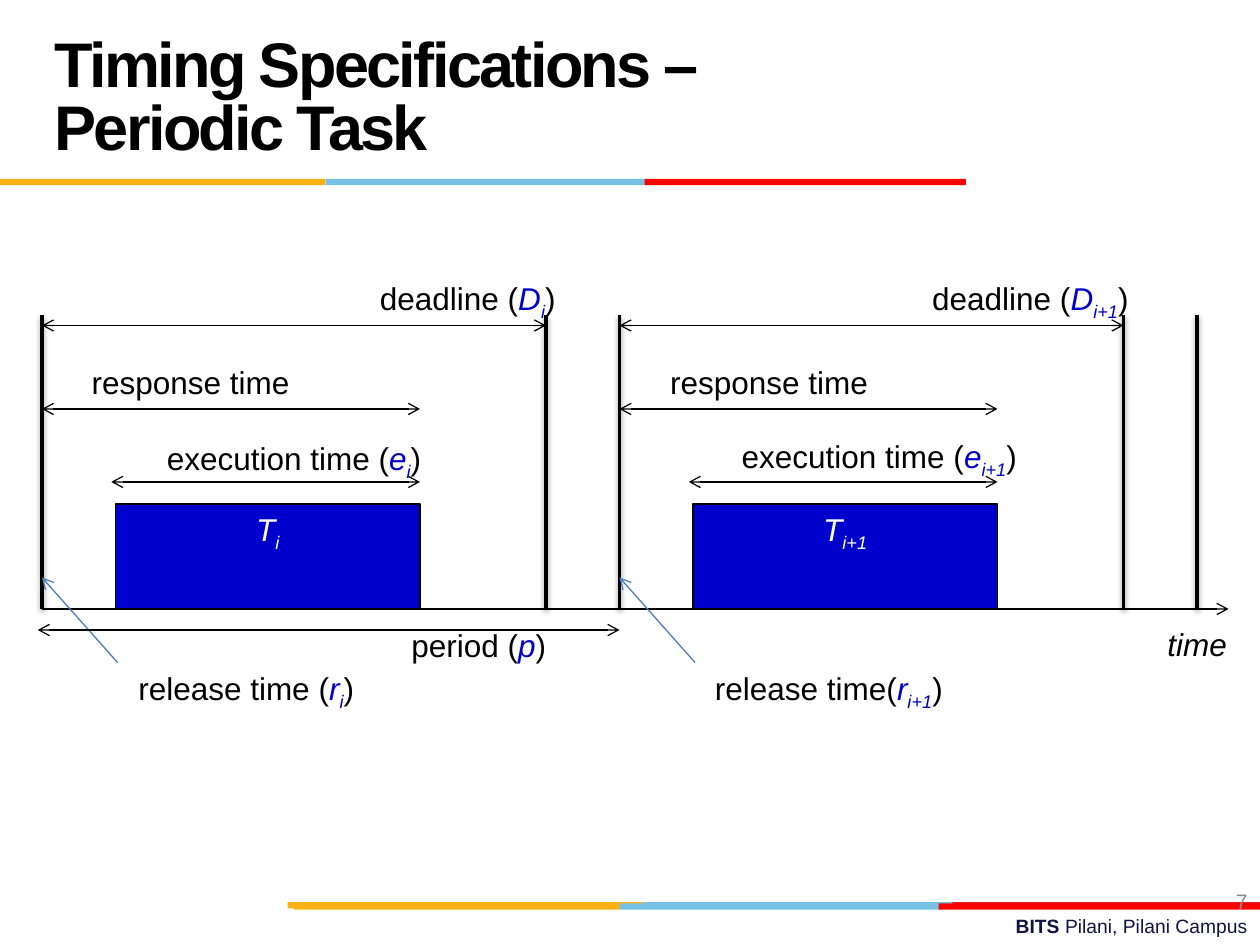
"""Build the slide that shows the timing specifications of a periodic task."""
from dataclasses import dataclass
from typing import NamedTuple

from lxml.etree import SubElement
from pptx import Presentation
from pptx.dml.color import RGBColor
from pptx.enum.shapes import MSO_CONNECTOR, MSO_SHAPE
from pptx.enum.text import MSO_ANCHOR as Anchor, MSO_AUTO_SIZE as AutoSize, PP_ALIGN as Align
from pptx.oxml.ns import qn
from pptx.util import Inches, Pt

BLACK = RGBColor(0x00, 0x00, 0x00)
WHITE = RGBColor(0xFF, 0xFF, 0xFF)
SYMBOL_BLUE = RGBColor(0x00, 0x00, 0xCC)
POINTER_BLUE = RGBColor(0x4B, 0x7E, 0xBC)
NAVY = RGBColor(0x10, 0x14, 0x41)
GREY = RGBColor(0x8C, 0x8C, 0x8C)
ORANGE = RGBColor(0xFC, 0xB0, 0x17)
SKY = RGBColor(0x76, 0xC2, 0xE5)
RED = RGBColor(0xFF, 0x00, 0x00)
DARK_RED = RGBColor(0xE3, 0x1C, 0x24)

COLUMNS, ROWS = 120, 90
CELL = Inches(10) // COLUMNS
LABEL_ROWS = 4.8
TOP_ROW, AXIS_ROW = 30, 58


class Part(NamedTuple):
    """A piece of text with its format."""
    words: str
    color: RGBColor = BLACK
    italic: bool = False
    bold: bool = False
    lowered: bool = False
    size: float = 18


class Area(NamedTuple):
    """A rectangle in grid columns and rows."""
    column: float
    row: float
    columns: float
    rows: float = LABEL_ROWS


class Bar(NamedTuple):
    """A coloured stretch of a rule, in columns."""
    start: float
    length: float
    color: RGBColor


@dataclass
class Cycle:
    """One release of the task, with the places of its labels."""
    origin: float
    index: str
    release_lead: str
    deadline: Area
    response: Area
    execution: Area
    release: Area


RULES = {
    85.92: [Bar(60.7, 30.6, SKY), Bar(90.7, 29.3, DARK_RED), Bar(27.4, 33.8, ORANGE)],
    86.04: [Bar(59, 30.6, SKY), Bar(28, 31, ORANGE), Bar(89.4, 30.6, RED)],
    17.04: [Bar(31, 30.6, SKY), Bar(0, 31, ORANGE), Bar(61.4, 30.6, RED)],
}
CYCLES = [
    Cycle(4, "i", "release time (", Area(35, 26, 19.3), Area(7.4, 34, 21.5),
          Area(14, 41.2, 28), Area(11.8, 63.1, 23.3)),
    Cycle(59, "i+1", "release time(", Area(87.6, 26, 21.6), Area(62.5, 34, 21.5),
          Area(69.1, 41, 29.3), Area(66.6, 63.1, 24.7)),
]


def cells(*counts: float) -> list[int]:
    """Turn counts of grid cells into lengths."""
    return [round(count * CELL) for count in counts]


def apply(target, formats: dict) -> None:
    """Set every attribute in the dict."""
    for name, value in formats.items():
        setattr(target, name, value)


def write(frame, parts: list[Part], align: Align) -> None:
    """Fill the first paragraph with formatted parts."""
    paragraph = frame.paragraphs[0]
    paragraph.alignment = align
    for part in parts:
        run = paragraph.add_run()
        run.text = part.words
        apply(run.font, {"name": "Arial", "size": Pt(part.size),
                         "bold": part.bold, "italic": part.italic})
        run.font.color.rgb = part.color
        if part.lowered:
            run._r.get_or_add_rPr().set("baseline", "-25000")


def add_label(slide, area: Area, parts: list[Part], align: Align = Align.CENTER,
              wrap: bool = False, anchor: Anchor = Anchor.TOP) -> None:
    """Place a text box on the grid."""
    frame = slide.shapes.add_textbox(*cells(*area)).text_frame
    apply(frame, {"word_wrap": wrap, "vertical_anchor": anchor})
    write(frame, parts, align)


def add_block(slide, area: Area, color: RGBColor, outlined: bool = False):
    """Place a filled rectangle on the grid."""
    block = slide.shapes.add_shape(MSO_SHAPE.RECTANGLE, *cells(*area))
    block.shadow.inherit = False
    block.fill.solid()
    block.fill.fore_color.rgb = color
    if outlined:
        block.line.color.rgb = BLACK
        block.line.width = Pt(0.75)
    else:
        block.line.fill.background()
    return block


def add_line(slide, ends: tuple, color: RGBColor = BLACK, width: float = 0.75,
             arrows: tuple = (), shadow: bool = False) -> None:
    """Draw a line between two grid points."""
    line = slide.shapes.add_connector(MSO_CONNECTOR.STRAIGHT, *cells(*ends))
    line.line.color.rgb = color
    line.line.width = Pt(width)
    for end in arrows:
        SubElement(line.line._get_or_add_ln(), qn(f"a:{end}"), type="arrow")
    effects = SubElement(line._element.spPr, qn("a:effectLst"))
    if shadow:
        cast = SubElement(effects, qn("a:outerShdw"), blurRad=str(Pt(3.1)), dist=str(Pt(1.6)),
                          dir="5400000", rotWithShape="0")
        tint = SubElement(cast, qn("a:srgbClr"), val=str(BLACK))
        SubElement(tint, qn("a:alpha"), val="38000")


def add_span(slide, start: float, end: float, row: float) -> None:
    """Draw a level arrow with two heads."""
    add_line(slide, (start, row, end, row), arrows=("headEnd", "tailEnd"))


def add_marker(slide, column: float) -> None:
    """Draw an upright time marker."""
    add_line(slide, (column, TOP_ROW, column, AXIS_ROW), width=2, shadow=True)


def term(lead: str, symbol: str, index: str = "") -> list[Part]:
    """Compose a phrase with a symbol in parentheses."""
    marks = [Part(symbol, SYMBOL_BLUE, italic=True)]
    if index:
        marks.append(Part(index, SYMBOL_BLUE, italic=True, lowered=True))
    return [Part(lead), *marks, Part(")")]


def add_cycle(slide, cycle: Cycle) -> None:
    """Draw one release of the task with its time spans."""
    start, finish, due = cycle.origin, cycle.origin + 36, cycle.origin + 48
    for column in (start, due):
        add_marker(slide, column)
    task = add_block(slide, Area(start + 7, 48, 29, 10), SYMBOL_BLUE, outlined=True)
    task.text_frame.vertical_anchor = Anchor.TOP
    write(task.text_frame, [Part("T", WHITE, italic=True),
                            Part(cycle.index, WHITE, italic=True, lowered=True)], Align.CENTER)
    for span in ((start, due, 31), (start, finish, 38.95), (start + 6.6, finish, 45.9)):
        add_span(slide, *span)
    add_line(slide, (start + 7.2, 63.1, start, 55), POINTER_BLUE, arrows=("tailEnd",))
    add_label(slide, cycle.deadline, term("deadline (", "D", cycle.index), Align.LEFT)
    add_label(slide, cycle.response, [Part("response time")])
    add_label(slide, cycle.execution, term("execution time (", "e", cycle.index))
    add_label(slide, cycle.release, term(cycle.release_lead, "r", cycle.index))


def add_title(slide) -> None:
    """Move and format the title placeholder."""
    title = slide.shapes.title
    apply(title, dict(zip(("left", "top", "width", "height"), cells(4, 2, 83, 15))))
    frame = title.text_frame
    apply(frame, {"word_wrap": True, "auto_size": AutoSize.NONE, "vertical_anchor": Anchor.MIDDLE})
    write(frame, [Part("Timing Specifications – Periodic Task", bold=True, size=36)], Align.LEFT)
    heading = frame.paragraphs[0]
    heading.line_spacing = Pt(36)
    heading.runs[0]._r.get_or_add_rPr().set("spc", "-150")


def main() -> None:
    """Assemble and save the slide."""
    deck = Presentation()
    apply(deck, {"slide_width": CELL * COLUMNS, "slide_height": CELL * ROWS})
    slide = deck.slides.add_slide(deck.slide_layouts[5])
    add_title(slide)
    add_label(slide, Area(43, 86.5, 77, 3.5), [Part("BITS ", NAVY, bold=True, size=11),
              Part("Pilani, Pilani Campus", NAVY, size=11)], Align.RIGHT, wrap=True)
    for row, bars in RULES.items():
        for bar in bars:
            add_block(slide, Area(bar.start, row, bar.length, 0.6), bar.color)
    add_label(slide, Area(92, 83.4, 28), [Part("7", GREY, size=12)], Align.RIGHT,
              wrap=True, anchor=Anchor.MIDDLE)
    add_line(slide, (4, AXIS_ROW, 117, AXIS_ROW), arrows=("tailEnd",))
    for cycle in CYCLES:
        add_cycle(slide, cycle)
    add_marker(slide, 114)
    add_span(slide, 3.6, 59, 60)
    add_label(slide, Area(38, 59, 15.4), term("period (", "p"), Align.LEFT)
    add_label(slide, Area(110, 58.9, 8.2), [Part("time", italic=True)], Align.LEFT)
    deck.save("out.pptx")


if __name__ == "__main__":
    main()
